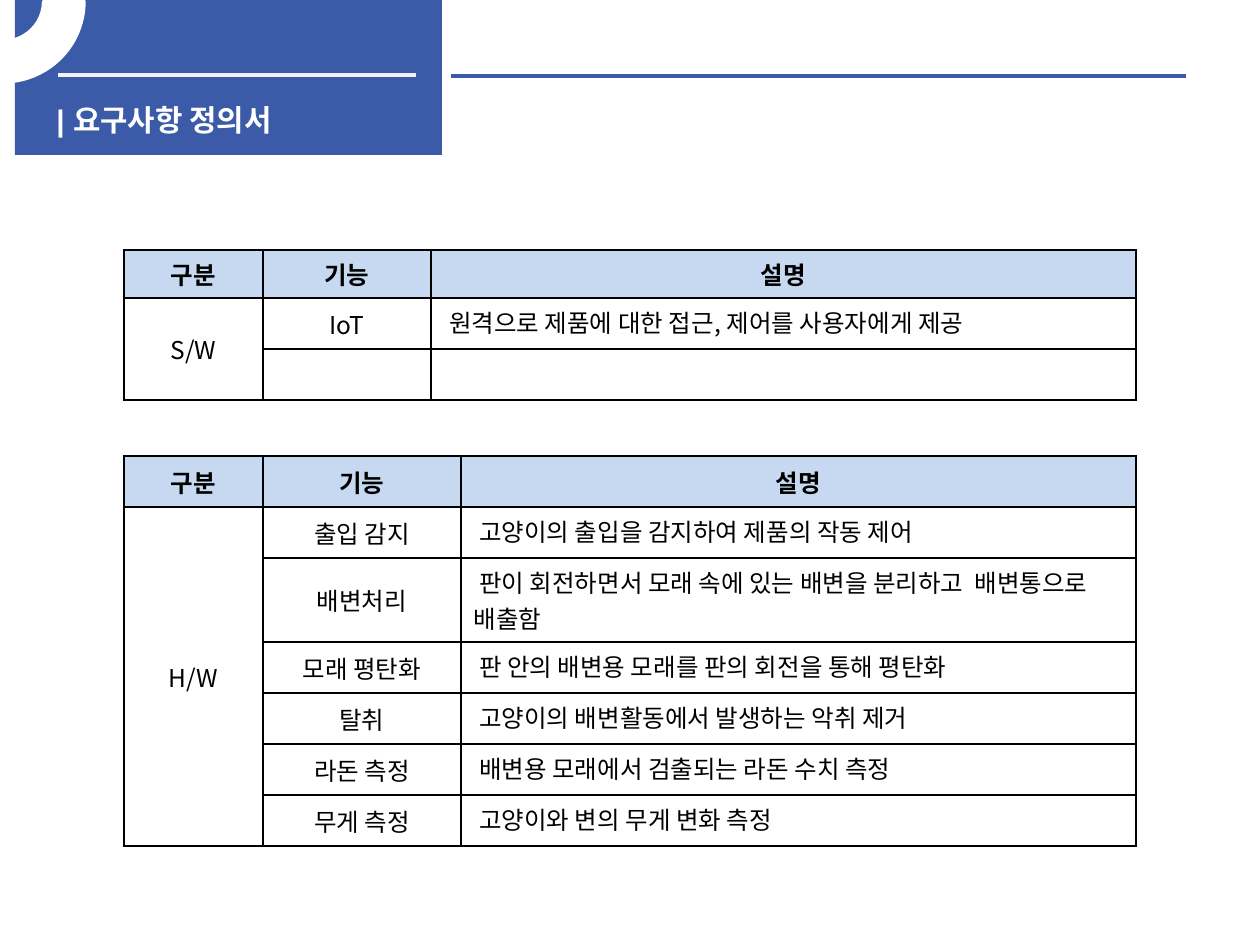
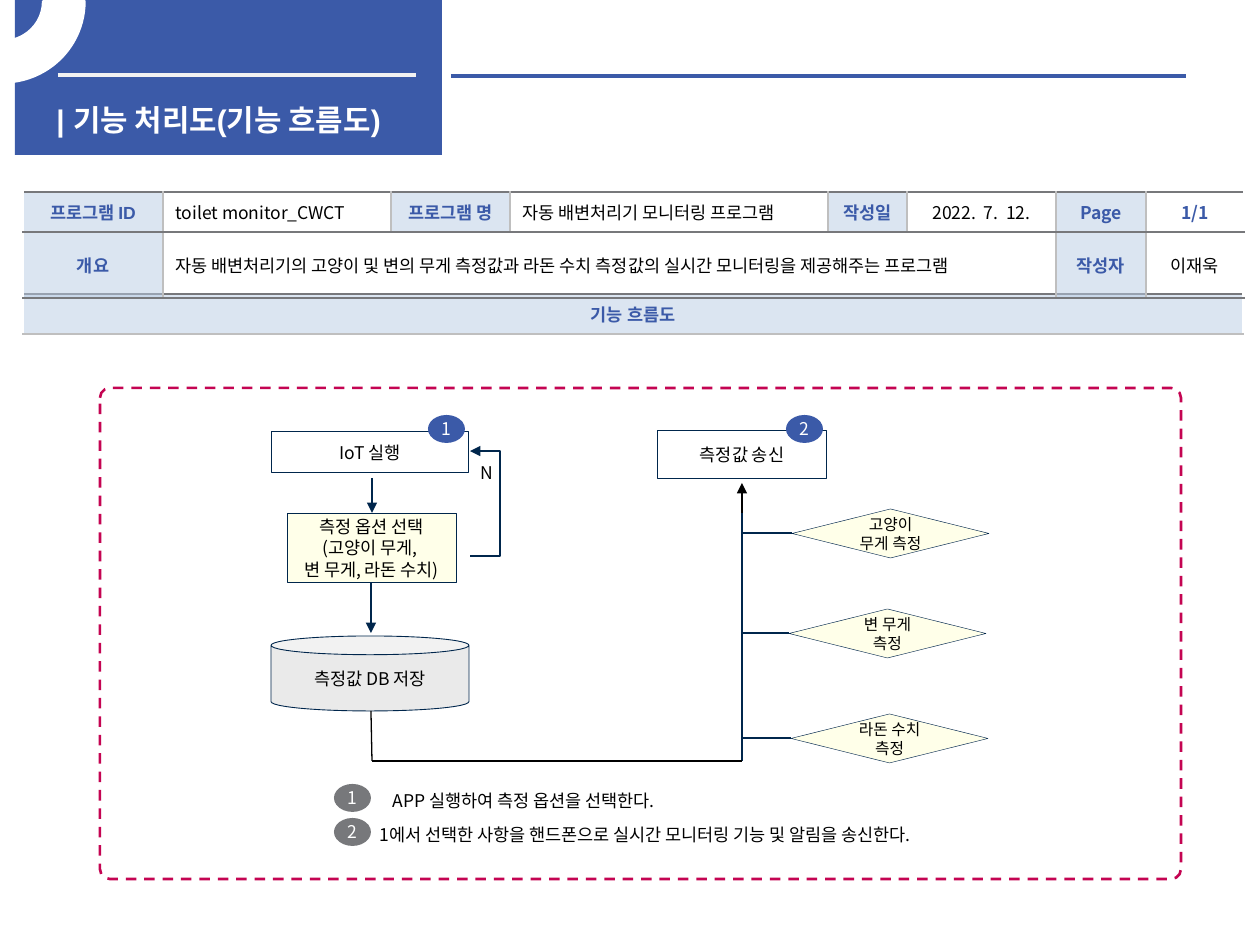
from lxml import etree
from pptx import Presentation
from pptx import util as u
from pptx.dml.color import RGBColor
from pptx.enum import dml, shapes, text
from pptx.oxml.ns import qn

SCALE = u.Inches(1) / 126
BLUE = RGBColor(0x3B, 0x5A, 0xA8)
NAVY = RGBColor(0x00, 0x26, 0x4C)
PALE = RGBColor(0xC6, 0xD9, 0xF1)
TINT = RGBColor(0xB9, 0xCD, 0xE5)
CREAM = RGBColor(0xFF, 0xFF, 0xE9)
SILVER = RGBColor(0xEA, 0xEA, 0xEA)
LIGHT = RGBColor(0xF2, 0xF2, 0xF2)
MID = RGBColor(0xBF, 0xBF, 0xBF)
GREY = RGBColor(0x77, 0x78, 0x7B)
PINK = RGBColor(0xC4, 0x04, 0x52)
WHITE = RGBColor(0xFF, 0xFF, 0xFF)
BLACK = RGBColor(0, 0, 0)

KOREAN = "Noto Sans CJK KR"
BODY = dict(size=10, name=KOREAN, color=BLACK)
SMALL = BODY | dict(size=9)
LABEL = BODY | dict(color=BLUE, bold=True)
ARIAL = LABEL | dict(name="Arial")
BADGE = BODY | dict(color=WHITE)
TITLE = dict(size=17, name="Arial", color=WHITE, bold=True)
CELL = BODY | dict(size=14)
HEAD = CELL | dict(bold=True)
MAST = shapes.MSO_SHAPE
LEFT, CENTER = text.PP_ALIGN.LEFT, text.PP_ALIGN.CENTER
MIDDLE = text.MSO_ANCHOR.MIDDLE


def px(n):
    return u.Emu(round(n * SCALE))


def write(frame, words, fmt, align=CENTER, space=None):
    """Fill a text frame, one paragraph a line."""
    for i, line in enumerate(words.split("\n")):
        para = frame.add_paragraph() if i else frame.paragraphs[0]
        para.alignment, para.line_spacing = align, space
        if not line:
            etree.SubElement(para._p, qn("a:endParaRPr"), sz=str(fmt["size"] * 100))
            continue
        run = para.add_run()
        run.text = line
        for key, value in fmt.items():
            if key == "color":
                run.font.color.rgb = value
            else:
                setattr(run.font, key, u.Pt(value) if key == "size" else value)
        etree.SubElement(run._r.rPr, qn("a:ea"), typeface=KOREAN)


def paint(shape, fill=None, line=None, width=1):
    shape.shadow.inherit = False
    if fill is None:
        shape.fill.background()
    else:
        shape.fill.solid()
        shape.fill.fore_color.rgb = fill
    if line is None:
        shape.line.fill.background()
    else:
        shape.line.color.rgb = line
        shape.line.width = u.Pt(width)


def block(slide, kind, box, fill=None, line=None, width=1, words="", fmt=BODY,
          inset=None, wrap=True):
    shape = slide.shapes.add_shape(kind, *map(px, box))
    paint(shape, fill, line, width)
    if words:
        frame = shape.text_frame
        frame.word_wrap, frame.vertical_anchor = wrap, MIDDLE
        if inset is not None:
            for side in ("left", "top", "right", "bottom"):
                setattr(frame, f"margin_{side}", px(inset))
        write(frame, words, fmt)
    return shape


def label(slide, box, words, fmt=BODY, align=CENTER, wrap=False, space=None):
    frame = slide.shapes.add_textbox(*map(px, box)).text_frame
    frame.word_wrap = wrap
    write(frame, words, fmt, align, space)


def arrow(shape):
    ln = shape.line._get_or_add_ln()
    etree.SubElement(ln, qn("a:tailEnd"), type="triangle")


def rule(slide, start, end, color=NAVY, width=0.75, tip=False):
    line = slide.shapes.add_connector(
        shapes.MSO_CONNECTOR.STRAIGHT, *map(px, (*start, *end)))
    line.line.color.rgb, line.line.width = color, u.Pt(width)
    if tip:
        arrow(line)
    etree.SubElement(line._element.spPr, qn("a:effectLst"))


def grid(slide, x, y, cols, rows):
    """Add a plain table with the given column and row sizes."""
    table = slide.shapes.add_table(
        len(rows), len(cols), *map(px, (x, y, sum(cols), sum(rows)))).table
    table.first_row = table.horz_banding = False
    for col, size in zip(table.columns, cols):
        col.width = px(size)
    for row, size in zip(table.rows, rows):
        row.height = px(size)
    return table


def style(cell, edges, fill=None, alpha=None):
    """Edges are the colours of the left, right, top and bottom borders."""
    props = cell._tc.get_or_add_tcPr()
    for side, color in zip("LRTB", edges):
        ln = etree.SubElement(props, qn(f"a:ln{side}"), w=str(u.Pt(1)))
        solid = etree.SubElement(ln, qn("a:solidFill"))
        etree.SubElement(solid, qn("a:srgbClr"), val=str(color))
    if fill is None:
        cell.fill.background()
        return
    cell.fill.solid()
    cell.fill.fore_color.rgb = fill
    if alpha:
        color = props.find(qn("a:solidFill"))[0]
        etree.SubElement(color, qn("a:alpha"), val=str(alpha * 1000))


def banner(slide, x, y, title):
    # Blue band, rules and title
    block(slide, MAST.RECTANGLE, (x, y, 427, 155), BLUE)
    rule(slide, (x + 43, y + 75), (x + 401, y + 75), LIGHT, 2.25)
    rule(slide, (x + 436, y + 76), (x + 1171, y + 76), BLUE, 2.25)
    label(slide, (x + 29, y + 96, 387, 40), title, TITLE, LEFT, wrap=True)
    # Ring in the corner
    ring = block(slide, MAST.BLOCK_ARC, (x - 94, y - 79, 163, 161), WHITE, WHITE, 2)
    for i, value in enumerate((96.95, 0, 0.25)):
        ring.adjustments[i] = value
    ring._element.spPr.find(qn("a:xfrm")).set("flipV", "1")


def needs(slide, x, y, cols, rows, group, items):
    """Requirement table: a header, then one group of functions."""
    table = grid(slide, x, y, cols, rows)
    lines = [("구분", "기능", "설명")]
    lines += [("" if i else group, *item) for i, item in enumerate(items)]
    for r, line in enumerate(lines):
        for c, words in enumerate(line):
            cell = table.cell(r, c)
            style(cell, [BLACK] * 4, WHITE if r else PALE)
            detail = r > 0 and c == 2
            if not detail:
                cell.vertical_anchor = MIDDLE
            write(cell.text_frame, words, CELL if r else HEAD, LEFT if detail else CENTER)
    table.cell(1, 0).merge(table.cell(len(items), 0))


def facts(slide, x, y):
    """Program details above the flow chart."""
    table = grid(slide, x, y, (140, 228, 119, 318, 79, 149, 90, 98), (40, 66))
    lines = [
        [("프로그램 ID", ARIAL), ("toilet monitor_CWCT", BODY), ("프로그램 명", LABEL),
         ("자동 배변처리기 모니터링 프로그램", BODY), ("작성일", LABEL),
         ("2022.  7.  12.", BODY), ("Page", LABEL), ("1/1", LABEL)],
        [("개요", ARIAL),
         ("자동 배변처리기의 고양이 및 변의 무게 측정값과 라돈 수치 측정값의 "
          "실시간 모니터링을 제공해주는 프로그램", BODY),
         *[("", BODY)] * 4, ("작성자", LABEL), ("이재욱", BODY)]]
    for r, line in enumerate(lines):
        for c, (words, fmt) in enumerate(line):
            cell = table.cell(r, c)
            edges = (MID if c else WHITE, MID if c < 7 else WHITE, GREY, GREY)
            tinted = fmt in (LABEL, ARIAL) and c < 7
            style(cell, edges, TINT if tinted else None, 50)
            cell.vertical_anchor = MIDDLE
            write(cell.text_frame, words, fmt, LEFT if c in (1, 3) else CENTER)
    table.cell(1, 1).merge(table.cell(1, 5))


def panel(slide, x, y):
    """Heading bar with the empty field for the chart."""
    table = grid(slide, x, y, (1220,), (40, 523))
    top, field = table.cell(0, 0), table.cell(1, 0)
    style(top, (WHITE, WHITE, GREY, MID), TINT, 50)
    style(field, (WHITE, WHITE, MID, WHITE))
    top.vertical_anchor = MIDDLE
    write(top.text_frame, "기능 흐름도", LABEL)


def flow(slide, x, y, w, h):
    def at(left, top, *size):
        return (x + left, y + top, *size)

    # Dashed frame
    frame = block(slide, MAST.ROUNDED_RECTANGLE, (x, y, w, h), None, PINK, 1.5)
    frame.adjustments[0] = 0.02
    frame.line.dash_style = dml.MSO_LINE.DASH

    # Steps
    for kind, box, fill, words in (
            (MAST.RECTANGLE, (171, 43, 198, 42), None, "IoT 실행"),
            (MAST.RECTANGLE, (187, 125, 169, 70), CREAM,
             "측정 옵션 선택\n(고양이 무게, \n변 무게, 라돈 수치)"),
            (MAST.CAN, (171, 248, 198, 75), SILVER, "측정값 DB 저장"),
            (MAST.RECTANGLE, (557, 43, 170, 48), None, "측정값 송신")):
        block(slide, kind, at(*box), fill, NAVY, 0.5, words, inset=5)

    # Measurements, each joined to the trunk
    trunk, base = 642, 373
    for left, top, words in ((692, 121, "고양이 무게 측정"), (689, 221, "변 무게 측정"),
                             (691, 326, "라돈 수치 측정")):
        block(slide, MAST.FLOWCHART_DECISION, at(left, top, 197, 49), CREAM, NAVY,
              0.25, words, SMALL)
        rule(slide, at(trunk, top + 24), at(left, top + 24))

    # Arrows and joins
    for start, end, color, tip in (
            ((272, 90), (272, 125), NAVY, True),
            ((271, 195), (271, 245), NAVY, True),
            ((trunk, base), (trunk, 124), NAVY, False),
            ((trunk, 125), (trunk, 95), BLACK, True),
            ((trunk, base), (272, base), BLACK, False),
            ((272, base), (271, 323), BLACK, False)):
        rule(slide, at(*start), at(*end), color, tip=tip)

    # Way back
    pen = slide.shapes.build_freeform(*at(370, 168), scale=SCALE)
    pen.add_line_segments([at(400, 168), at(400, 63), at(370, 63)], close=False)
    back = pen.convert_to_shape()
    paint(back, None, NAVY, 0.75)
    arrow(back)
    label(slide, at(367, 68, 39, 34), "N")

    # Notes and number badges
    label(slide, at(262, 392, 323, 35), "APP 실행하여 측정 옵션을 선택한다.", space=1.2)
    label(slide, at(267, 426, 621, 35),
          "1에서 선택한 사항을 핸드폰으로 실시간 모니터링 기능 및 알림을 송신한다.",
          align=LEFT, space=1.2)
    for left, top, fill, words in ((328, 27, BLUE, "1"), (686, 27, BLUE, "2"),
                                   (234, 396, GREY, "1"), (234, 430, GREY, "2")):
        block(slide, MAST.OVAL, at(left, top, 37, 28), fill, words=words, fmt=BADGE,
              inset=8, wrap=False)


def main():
    deck = Presentation()
    deck.slide_width, deck.slide_height = u.Inches(10), u.Inches(7.5)
    first, second = [deck.slides.add_slide(deck.slide_layouts[6]) for _ in range(2)]

    banner(first, 15, 0, "| 요구사항 정의서")
    needs(first, 124, 250, (139, 168, 705), (48, 51, 51), "S/W", [
        ("IoT", " 원격으로 제품에 대한 접근, 제어를 사용자에게 제공"),
        ("", "")])
    needs(first, 124, 456, (139, 198, 675), (51, 51, 84, 51, 51, 51, 51), "H/W", [
        ("출입 감지", " 고양이의 출입을 감지하여 제품의 작동 제어"),
        ("배변처리", " 판이 회전하면서 모래 속에 있는 배변을 분리하고  배변통으로 배출함"),
        ("모래 평탄화", " 판 안의 배변용 모래를 판의 회전을 통해 평탄화"),
        ("탈취", " 고양이의 배변활동에서 발생하는 악취 제거"),
        ("라돈 측정", " 배변용 모래에서 검출되는 라돈 수치 측정"),
        ("무게 측정", " 고양이와 변의 무게 변화 측정")])

    banner(second, 15, 0, "| 기능 처리도(기능 흐름도)")
    panel(second, 23, 294)
    flow(second, 100, 388, 1081, 491)
    facts(second, 23, 192)
    deck.save("out.pptx")


if __name__ == "__main__":
    main()
